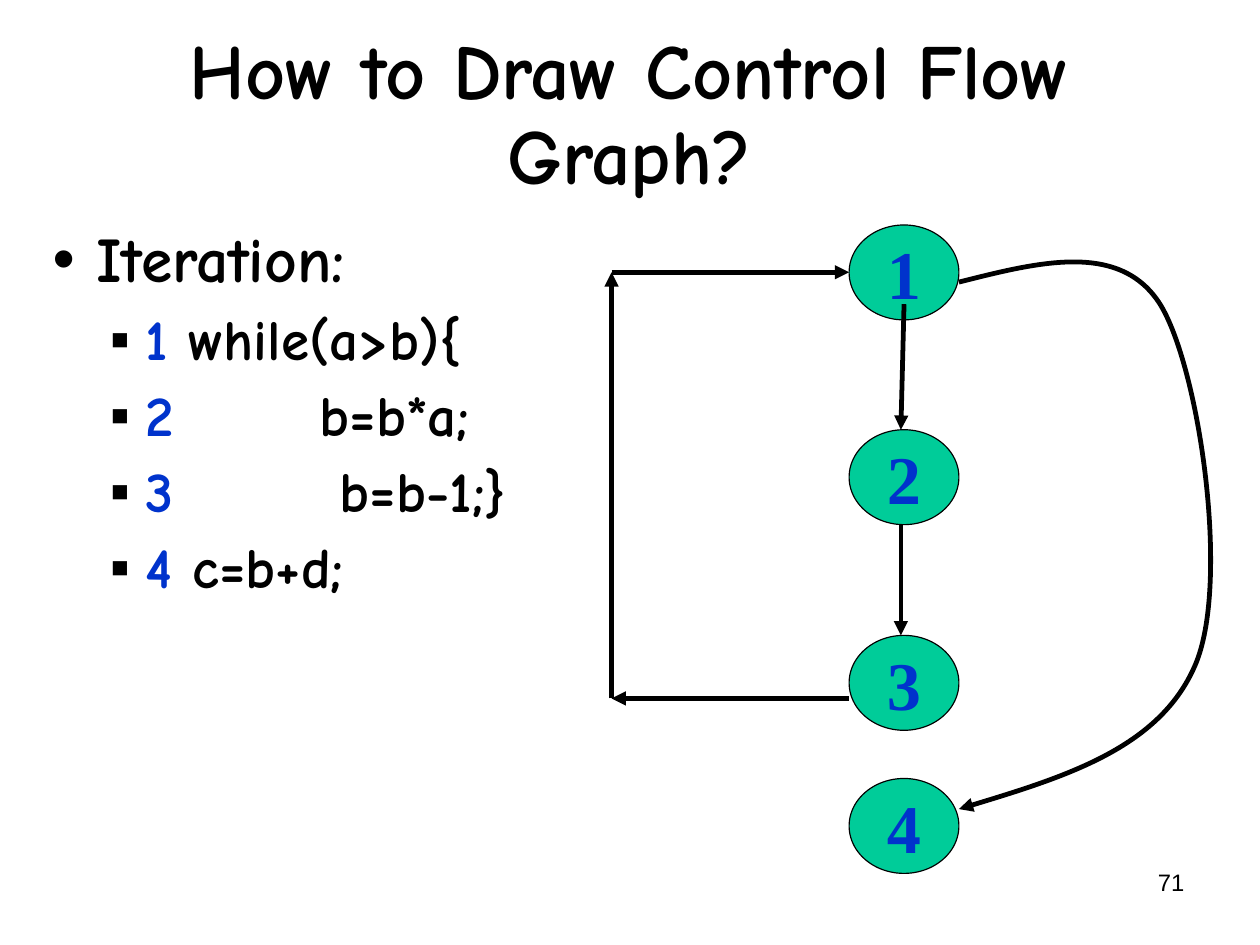
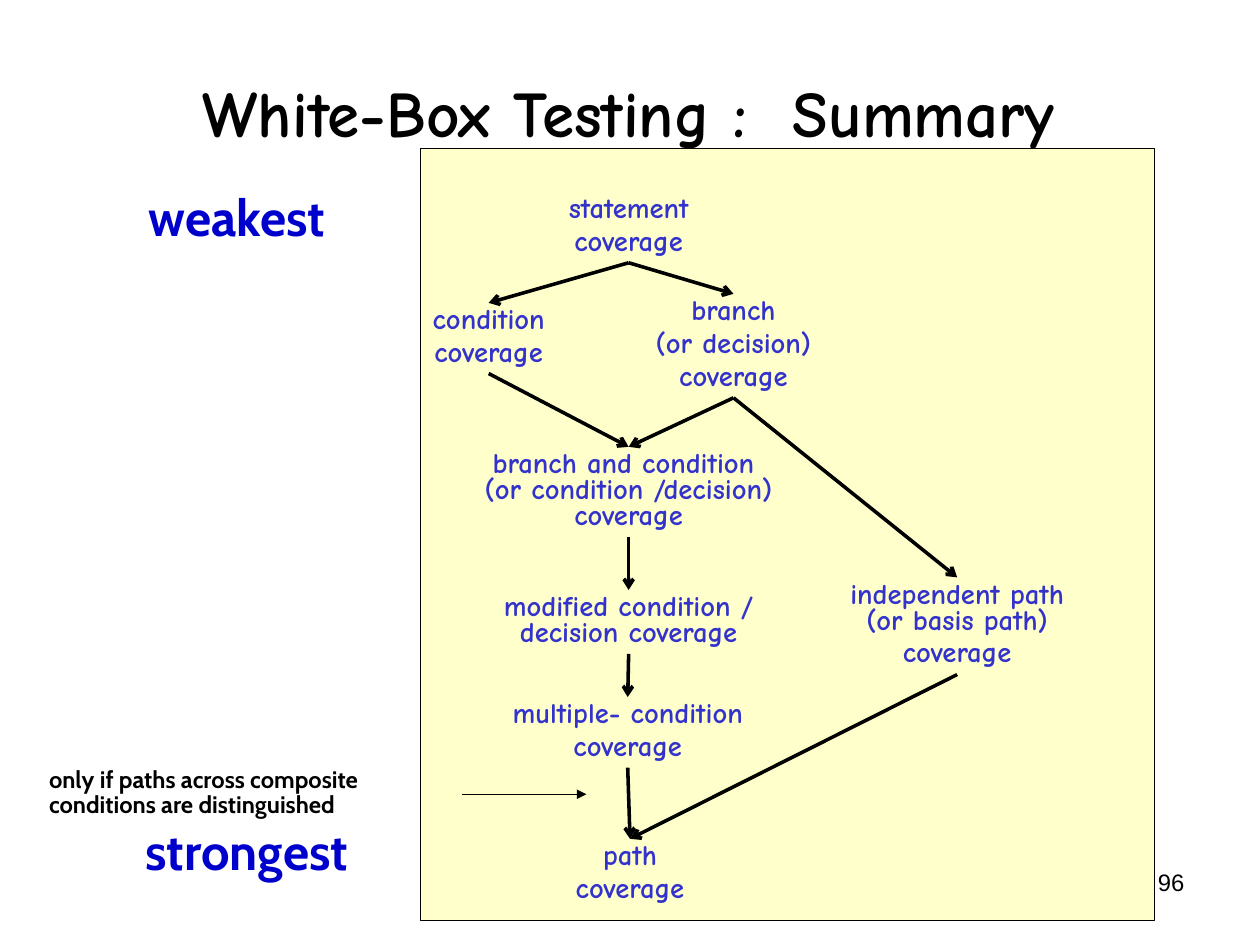
from lxml import etree
from pptx import Presentation
from pptx.dml.color import RGBColor
from pptx.enum.shapes import MSO_CONNECTOR, MSO_SHAPE
from pptx.enum.text import MSO_ANCHOR, PP_ALIGN
from pptx.oxml.ns import qn
from pptx.util import Cm, Pt

BLACK = RGBColor(0x00, 0x00, 0x00)
NUMBER_BLUE = RGBColor(0x00, 0x33, 0xCC)
LABEL_BLUE = RGBColor(0x33, 0x33, 0xCC)
SCALE_BLUE = RGBColor(0x00, 0x00, 0xCC)
NODE_GREEN = RGBColor(0x00, 0xCC, 0x99)
PANEL_YELLOW = RGBColor(0xFF, 0xFF, 0xCC)
HEADING_FONT = "Comic Neue"
MARGIN_X, MARGIN_Y = Cm(0.28), Cm(0.15)


def add_text(slide, box, text, size, font=HEADING_FONT, color=BLACK, bold=True,
             align=PP_ALIGN.CENTER, anchor=MSO_ANCHOR.TOP, spacing=None,
             before=0, inset=True):
    """Add a wrapped text box; box is left, top, width, height in cm."""
    text_box = slide.shapes.add_textbox(*map(Cm, box))
    frame = text_box.text_frame
    frame.word_wrap = True
    frame.vertical_anchor = anchor
    frame.margin_left = frame.margin_right = MARGIN_X if inset else 0
    frame.margin_top = frame.margin_bottom = MARGIN_Y if inset else 0
    frame.text = text
    for paragraph in frame.paragraphs:
        paragraph.alignment = align
        paragraph.line_spacing = spacing
        paragraph.space_before = Pt(before)
        for run in paragraph.runs:
            run.font.name, run.font.size = font, Pt(size)
            run.font.bold, run.font.color.rgb = bold, color
    return text_box


def add_arrow(slide, start, end, width, head="triangle"):
    """Add a straight arrow between two (x, y) points in cm."""
    arrow = slide.shapes.add_connector(MSO_CONNECTOR.STRAIGHT,
                                       *map(Cm, (*start, *end)))
    arrow.line.color.rgb, arrow.line.width = BLACK, Pt(width)
    etree.SubElement(arrow.line._get_or_add_ln(), qn("a:tailEnd"), type=head)
    etree.SubElement(arrow._element.spPr, qn("a:effectLst"))
    return arrow


prs = Presentation()
prs.slide_width, prs.slide_height = Cm(28), Cm(21)
blank = prs.slide_layouts[6]

# Shared page number and title; the panel lies beneath the second title
flow_slide, summary_slide = [prs.slides.add_slide(blank) for _ in range(2)]
panel = summary_slide.shapes.add_shape(
    MSO_SHAPE.RECTANGLE, Cm(9.35), Cm(3.3), Cm(16.31), Cm(17.15))
panel.shadow.inherit = False
panel.fill.solid()
panel.fill.fore_color.rgb = PANEL_YELLOW
panel.line.color.rgb, panel.line.width = BLACK, Pt(0.75)

for slide, title, title_size, number in [
    (flow_slide, "How to Draw Control Flow Graph?", 49, "71"),
    (summary_slide, "White-Box Testing :  Summary", 41, "96"),
]:
    add_text(slide, (20.07, 19.13, 6.53, 1.45), number, 15, "Arial",
             bold=False, align=PP_ALIGN.RIGHT)
    add_text(slide, (1.4, -0.13, 25.17, 5.44), title, title_size,
             anchor=MSO_ANCHOR.MIDDLE, spacing=0.91)

# Slide 1: code listing, with the letter spacing of the gap after each number
code_lines = [("1", "while(a>b){", 0), ("2", "b=b*a;", 79),
              ("3", "b=b-1;}", 92), ("4", "c=b+d;", 0)]
listing = add_text(flow_slide, (0.89, 4.9, 14, 11), "Iteration:", 40,
                   align=PP_ALIGN.LEFT, spacing=0.91, before=9.8).text_frame
for number, code, gap in code_lines:
    paragraph = listing.add_paragraph()
    paragraph.level = 1
    paragraph.line_spacing, paragraph.space_before = 0.91, Pt(8.6)
    for text, color, extra in [(number, NUMBER_BLUE, 0), (" ", BLACK, gap),
                               (code, BLACK, 0)]:
        run = paragraph.add_run()
        run.text = text
        run.font.name, run.font.size = HEADING_FONT, Pt(36)
        run.font.bold, run.font.color.rgb = True, color
        if extra:
            run.font._element.set("spc", str(extra * 100))

# Bullets of the listing
for paragraph in listing.paragraphs:
    left, hang, bullet = (2.06, 0.79, "▪") if paragraph.level else (0.97, 0.97, "•")
    properties = paragraph._p.get_or_add_pPr()
    properties.set("marL", str(Cm(left)))
    properties.set("indent", str(-Cm(hang)))
    bullet_color = etree.SubElement(properties, qn("a:buClr"))
    etree.SubElement(bullet_color, qn("a:srgbClr"), val=str(BLACK))
    etree.SubElement(properties, qn("a:buFont"), typeface="Arial")
    etree.SubElement(properties, qn("a:buChar"), char=bullet)

# Nodes of the flow graph
for number, top in enumerate((5.0, 9.55, 14.12, 17.3), start=1):
    node = flow_slide.shapes.add_shape(
        MSO_SHAPE.OVAL, Cm(18.87), Cm(top), Cm(2.44), Cm(2.11))
    node.shadow.inherit = False
    node.fill.solid()
    node.fill.fore_color.rgb = NODE_GREEN
    node.line.color.rgb, node.line.width = BLACK, Pt(0.75)
    frame = node.text_frame
    frame.word_wrap = False
    frame.vertical_anchor = MSO_ANCHOR.MIDDLE
    frame.margin_left = frame.margin_right = MARGIN_X
    frame.margin_top = frame.margin_bottom = MARGIN_Y
    frame.text = str(number)
    paragraph = frame.paragraphs[0]
    paragraph.alignment = PP_ALIGN.CENTER
    font = paragraph.runs[0].font
    font.name, font.size, font.bold = "Times New Roman", Pt(43), True
    font.color.rgb = NUMBER_BLUE

# Steps down and the loop back to node 1
loop = [(18.87, 15.52), (13.59, 15.52), (13.59, 6.05), (18.87, 6.05)]
steps = [((20.09, 6.76), (20.02, 9.55)), ((20.02, 11.66), (20.02, 14.12))]
for start, end in steps + list(zip(loop, loop[1:])):
    add_arrow(flow_slide, start, end, 3)

# Curved exit from node 1 to node 4: three Bezier segments
exit_points = [(21.31, 6.27), (23.09, 5.82), (24.89, 5.36), (25.78, 6.76),
               (26.64, 8.15), (27.33, 12.83), (26.59, 14.71),
               (25.83, 16.59), (23.57, 17.3), (21.31, 17.98)]
start, *rest = [(Cm(x), Cm(y)) for x, y in exit_points]
builder = flow_slide.shapes.build_freeform(*start)
builder.add_line_segments(rest, close=False)
exit_curve = builder.convert_to_shape()
exit_curve.shadow.inherit = False
exit_curve.fill.background()
exit_curve.line.color.rgb, exit_curve.line.width = BLACK, Pt(3)
etree.SubElement(exit_curve.line._get_or_add_ln(), qn("a:tailEnd"), type="triangle")
segments = list(exit_curve._element.iter(qn("a:lnTo")))
for first in range(0, len(segments), 3):
    bezier = etree.Element(qn("a:cubicBezTo"))
    segments[first].addprevious(bezier)
    for segment in segments[first:first + 3]:
        bezier.append(segment[0])
        segment.getparent().remove(segment)

# Slide 2: coverage criteria as centre x, top, width, height, text
criteria = {
    "statement": (13.97, 4.27, 4, 1.57, "statement\ncoverage"),
    "condition": (10.86, 6.73, 4.24, 1.57, "condition\ncoverage"),
    "branch": (16.3, 6.53, 5.26, 2.31, "branch\n(or decision)\ncoverage"),
    "both": (13.97, 9.93, 8.15, 2,
             "branch and condition \v(or condition /decision) coverage"),
    "modified": (13.97, 13.11, 7.37, 1.42, "modified condition / decision coverage"),
    "multiple": (13.95, 15.49, 8.66, 1.57, "multiple- condition\ncoverage"),
    "independent": (21.27, 12.83, 5.82, 2.16,
                    "independent path (or basis path)\ncoverage"),
    "all paths": (14, 18.64, 4, 1.57, "path\ncoverage"),
}
labels = {}
for name, (center, top, width, height, text) in criteria.items():
    labels[name] = add_text(
        summary_slide, (center - width / 2, top, width, height), text, 18,
        color=LABEL_BLUE, anchor=MSO_ANCHOR.MIDDLE, spacing=0.75,
        before=4.5 if "\n" in text else 0)

# Arrows from the weaker to the stronger criterion
for weaker, stronger in [
    ("statement", "condition"), ("statement", "branch"),
    ("condition", "both"), ("branch", "both"), ("both", "modified"),
    ("modified", "multiple"), ("multiple", "all paths"),
    ("branch", "independent"), ("independent", "all paths"),
]:
    arrow = add_arrow(summary_slide, (0, 0), (1, 1), 2.25, "arrow")
    arrow.begin_connect(labels[weaker], 2)
    arrow.end_connect(labels[stronger], 0)

# Scale and remark beside the panel
for box, text, size, color in [
    ((3.3, 4.29, 5.5, 1.22), "weakest", 32, SCALE_BLUE),
    ((3.23, 18.39, 5.5, 1.22), "strongest", 32, SCALE_BLUE),
    ((1.09, 17.07, 8.05, 1.14),
     "only if paths across composite conditions are distinguished", 15, BLACK),
]:
    add_text(summary_slide, box, text, size, "Cabin", color,
             align=PP_ALIGN.LEFT, spacing=0.89, inset=False)
add_arrow(summary_slide, (10.26, 17.65), (13.03, 17.65), 0.75)

prs.save("out.pptx")
